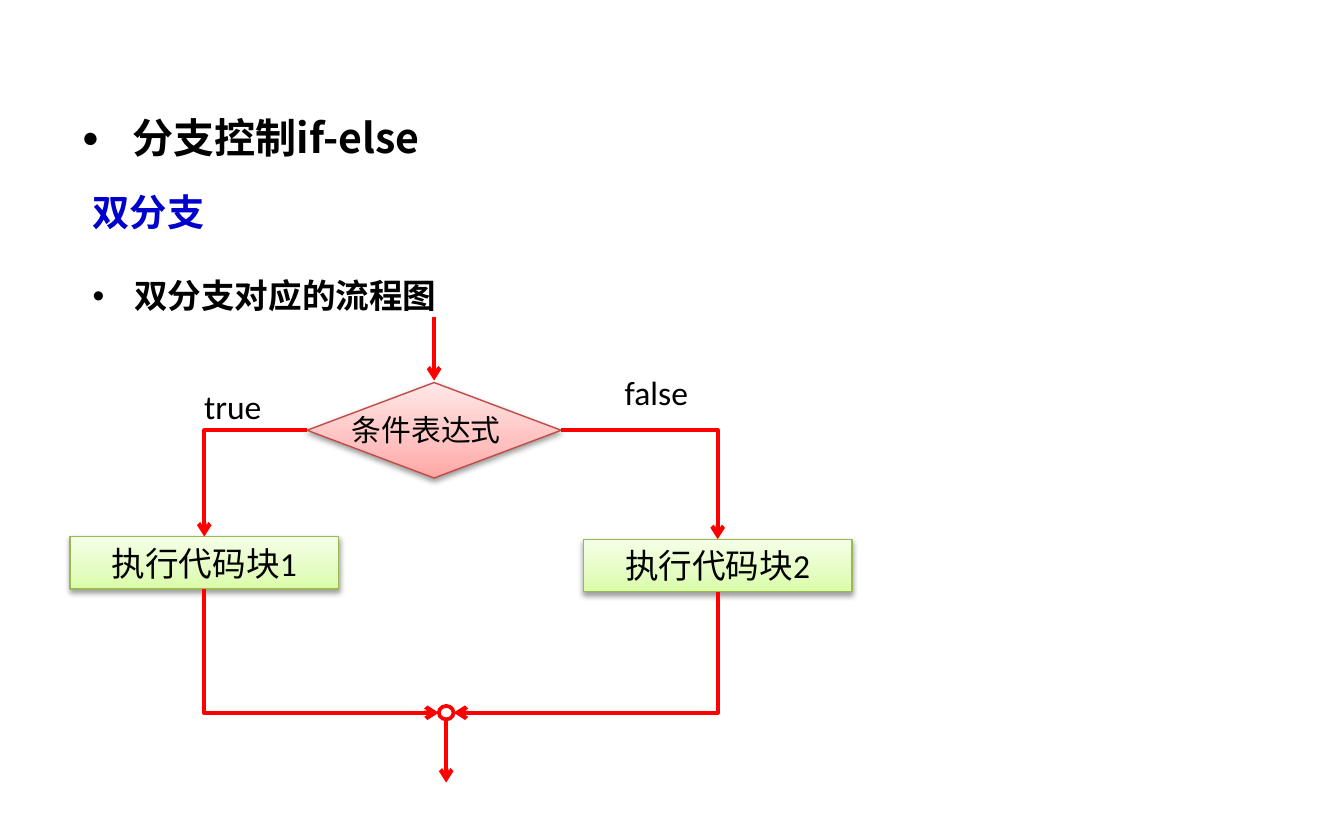
from copy import deepcopy

from lxml import etree
from pptx import Presentation
from pptx import util as u
from pptx.dml.color import RGBColor
from pptx.enum import shapes, text
from pptx.oxml import ns

# Slide size, counted in units of 1/576 inch
UNIT = 914400 / 576
WIDTH, HEIGHT = u.Emu(int(5760 * UNIT)), u.Emu(int(3538 * UNIT))
CJK, LATIN = "Noto Sans CJK SC", "Calibri"
BLACK = RGBColor(0, 0, 0)
BLUE = RGBColor(0, 0, 0xCC)
RED = RGBColor(0xFF, 0, 0)
PINK_LINE = RGBColor(0xBF, 0x4C, 0x48)
GREEN_LINE = RGBColor(0x98, 0xB9, 0x55)
PINKS = [RGBColor(0xFF, 0xA6, 0xA5), RGBColor(0xFF, 0xC0, 0xBF), RGBColor(0xFF, 0xE7, 0xE7)]
GREENS = [RGBColor(0xDA, 0xFD, 0xA7), RGBColor(0xE4, 0xFC, 0xC2), RGBColor(0xF5, 0xFF, 0xE7)]
STOPS = (0, 0.35, 1)

# Flowchart grid: column centres and row heights in inches
LEFT, ENTRY, MERGE, RIGHT = 1.52, 3.23, 3.32, 5.34
DECISION_Y, MERGE_Y = 3.2, 5.3
DECISION_W, DECISION_H = 1.89, 0.71
BLOCK_W, BLOCK_H = 2, 0.39
LEFT_TOP, RIGHT_TOP = 3.99, 4.01
RING_W, RING_H = 0.11, 0.1


def add_xml(parent, tag, **attributes):
    element = etree.SubElement(parent, ns.qn(tag))
    for name, value in attributes.items():
        element.set(name, str(value))
    return element


def write(paragraph, words, size=18, font=LATIN, color=BLACK, bold=False,
          bullet=None, bullet_size=100, indent=0, align=None, before=0, spacing=None):
    paragraph.alignment = align
    paragraph.space_before = u.Pt(before)
    paragraph.line_spacing = spacing
    run = paragraph.add_run()
    run.text = words
    run.font.size, run.font.name, run.font.bold = u.Pt(size), font, bold
    run.font.color.rgb = color
    add_xml(run._r.get_or_add_rPr(), "a:ea", typeface=CJK)
    if bullet:
        properties = paragraph._p.get_or_add_pPr()
        properties.set("marL", str(u.Inches(indent)))
        properties.set("indent", str(-u.Inches(indent)))
        add_xml(properties, "a:buSzPct", val=bullet_size * 1000)
        add_xml(properties, "a:buFont", typeface="Arial")
        add_xml(properties, "a:buChar", char=bullet)


def add_text(slide, box, words, **style):
    shape = slide.shapes.add_textbox(*map(u.Inches, box))
    shape.text_frame.word_wrap = True
    write(shape.text_frame.paragraphs[0], words, **style)
    return shape.text_frame


def add_node(slide, kind, center_x, center_y, width, height, line, weight):
    shape = slide.shapes.add_shape(kind, u.Inches(center_x - width / 2),
                                   u.Inches(center_y - height / 2),
                                   u.Inches(width), u.Inches(height))
    shape.shadow.inherit = False
    shape.fill.background()
    shape.line.color.rgb = line
    shape.line.width = u.Pt(weight)
    return shape


def shade(shape, colors):
    """Give a shape a three-stop vertical gradient and a soft drop shadow."""
    shape.fill.gradient()
    shape.fill.gradient_angle = 90
    properties = shape._element.spPr
    stop_list = properties.find(".//" + ns.qn("a:gsLst"))
    stop_list.append(deepcopy(stop_list[0]))
    for stop, position, color in zip(shape.fill.gradient_stops, STOPS, colors):
        stop.position = position
        stop.color.rgb = color
    shadow = add_xml(properties.find(ns.qn("a:effectLst")), "a:outerShdw",
                     blurRad=40000, dist=20000, dir=5400000, rotWithShape=0)
    add_xml(add_xml(shadow, "a:srgbClr", val=BLACK), "a:alpha", val=38000)


def add_block(slide, center_x, top, words):
    shape = add_node(slide, shapes.MSO_SHAPE.RECTANGLE, center_x, top + BLOCK_H / 2,
                     BLOCK_W, BLOCK_H, GREEN_LINE, 0.75)
    shade(shape, GREENS)
    shape.text_frame.vertical_anchor = text.MSO_ANCHOR.MIDDLE
    write(shape.text_frame.paragraphs[0], words, align=text.PP_ALIGN.CENTER)


def add_arrow(slide, start, end, kind=shapes.MSO_CONNECTOR.STRAIGHT):
    arrow = slide.shapes.add_connector(kind, *map(u.Inches, (*start, *end)))
    arrow.line.color.rgb = RED
    arrow.line.width = u.Pt(2.25)
    add_xml(arrow.line._get_or_add_ln(), "a:tailEnd", type="arrow")
    add_xml(arrow._element.spPr, "a:effectLst")
    return arrow


def add_elbow(slide, start, end, down_first=False):
    """Draw a one-corner arrow; down_first turns the connector by 90 degrees."""
    if down_first:
        middle_x, middle_y = (start[0] + end[0]) / 2, (start[1] + end[1]) / 2
        half_x, half_y = (end[0] - start[0]) / 2, (end[1] - start[1]) / 2
        start = (middle_x - half_y, middle_y + half_x)
        end = (middle_x + half_y, middle_y - half_x)
    arrow = add_arrow(slide, start, end, shapes.MSO_CONNECTOR.ELBOW)
    properties = arrow._element.spPr
    properties.find(ns.qn("a:prstGeom")).set("prst", "bentConnector2")
    if down_first:
        properties.find(ns.qn("a:xfrm")).set("rot", "5400000")


def add_headings(slide):
    add_text(slide, (0.51, 0.83, 7.95, 0.43), "分支控制if-else", size=22, font=CJK,
             bold=True, bullet="●", bullet_size=70, indent=0.38, spacing=0.9)
    frame = add_text(slide, (0.59, 1.36, 9.21, 4.07), "双分支", size=20, font=CJK,
                     color=BLUE, bold=True)
    write(frame.add_paragraph(), "双分支对应的流程图", font=CJK, bold=True,
          bullet="•", indent=0.31, before=22)


def add_flowchart(slide):
    # Entry and decision
    add_arrow(slide, (ENTRY, 2.36), (ENTRY, 2.83))
    decision = add_node(slide, shapes.MSO_SHAPE.FLOWCHART_DECISION, ENTRY, DECISION_Y,
                        DECISION_W, DECISION_H, PINK_LINE, 0.75)
    shade(decision, PINKS)
    add_text(slide, (2.52, 3.01, 1.5, 0.37), "条件表达式", size=16, font=CJK)

    # Both branches, from the decision through a block to the merge ring
    branches = ((LEFT, LEFT_TOP, -1, "执行代码块1"), (RIGHT, RIGHT_TOP, 1, "执行代码块2"))
    for column, top, side, words in branches:
        add_block(slide, column, top, words)
        add_elbow(slide, (ENTRY + side * DECISION_W / 2, DECISION_Y), (column, top))
        add_elbow(slide, (column, top + BLOCK_H),
                  (MERGE + side * RING_W / 2, MERGE_Y), down_first=True)
    add_text(slide, (1.42, 2.82, 0.79, 0.4), "true")
    add_text(slide, (4.55, 2.72, 0.79, 0.4), "false")

    # Merge ring and exit
    add_node(slide, shapes.MSO_SHAPE.OVAL, MERGE, MERGE_Y, RING_W, RING_H, RED, 2)
    add_arrow(slide, (MERGE, 5.36), (MERGE, 5.82))


def main():
    presentation = Presentation()
    presentation.slide_width = WIDTH
    presentation.slide_height = HEIGHT
    slide = presentation.slides.add_slide(presentation.slide_layouts[6])
    add_headings(slide)
    add_flowchart(slide)
    presentation.save("out.pptx")


if __name__ == "__main__":
    main()
